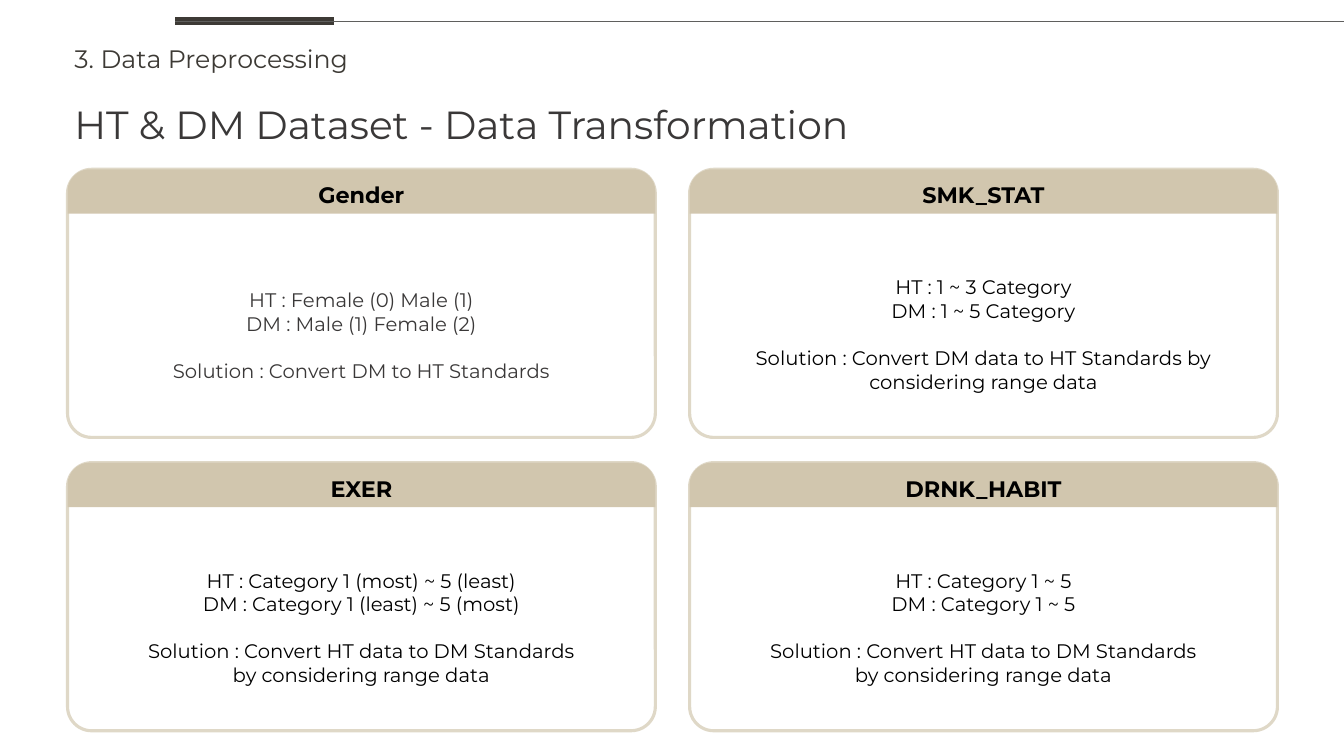
from pptx import Presentation
from pptx import util as u
from pptx.dml.color import RGBColor
from pptx.enum import shapes, text
from pptx.oxml.ns import qn
from lxml import etree

Inches, Pt = u.Inches, u.Pt
COLORS = {
    "section": "3D3A35", "title": "3A3838", "rule": "5F5F5D",
    "card": "FFFFFF", "border": "DFD8C7", "header": "D1C6AE", "black": "000000",
}

deck = Presentation()
deck.slide_width, deck.slide_height = Inches(13.33), Inches(7.5)
slide = deck.slides.add_slide(deck.slide_layouts[6])


def color(name):
    return RGBColor.from_string(COLORS[name])


def write(paragraph, words, size, ink, bold=False):
    paragraph.text = words
    paragraph.font.name = "Montserrat"
    paragraph.font.size = Pt(size)
    paragraph.font.bold = bold
    paragraph.font.color.rgb = color(ink)


for words, top, width, height, size, ink in [
    ("3. Data Preprocessing", 0.38, 3.05, 0.4, 18, "section"),
    ("HT & DM Dataset - Data Transformation", 0.95, 12.46, 0.57, 28, "title"),
]:
    heading = slide.shapes.add_textbox(Inches(0.64), Inches(top), Inches(width), Inches(height))
    heading.text_frame.word_wrap = True
    write(heading.text_frame.paragraphs[0], words, size, ink)

for end, ink, weight in [(3.31, "section", 6), (13.33, "rule", 0.75)]:
    rule = slide.shapes.add_connector(
        shapes.MSO_CONNECTOR.STRAIGHT, Inches(1.74), Inches(0.21), Inches(end), Inches(0.21))
    rule.line.color.rgb = color(ink)
    rule.line.width = Pt(weight)
    etree.SubElement(rule.line._get_or_add_ln().getparent(), qn("a:effectLst"))

range_solution = ["Solution : Convert HT data to DM Standards", "by considering range data"]
variables = [
    ("Gender", "title", 1.11,
     ["HT : Female (0) Male (1)", "DM : Male (1) Female (2)",
      "Solution : Convert DM to HT Standards"]),
    ("SMK_STAT", "black", 0.98,
     ["HT : 1 ~ 3 Category", "DM : 1 ~ 5 Category",
      "Solution : Convert DM data to HT Standards by considering range data"]),
    ("EXER", "black", 0.98,
     ["HT : Category 1 (most) ~ 5 (least)", "DM : Category 1 (least) ~ 5 (most)"] + range_solution),
    ("DRNK_HABIT", "black", 0.98,
     ["HT : Category 1 ~ 5", "DM : Category 1 ~ 5"] + range_solution),
]

for index, (variable, ink, text_top, lines) in enumerate(variables):
    row, column = divmod(index, 2)
    left, top = Inches(0.67 + 6.17 * column), Inches(1.68 + 2.91 * row)

    card = slide.shapes.add_shape(
        shapes.MSO_SHAPE.ROUNDED_RECTANGLE, left, top, Inches(5.83), Inches(2.66))
    card.adjustments[0] = 0.09
    card.fill.solid()
    card.fill.fore_color.rgb = color("card")
    card.line.color.rgb = color("border")
    card.line.width = Pt(2.25)

    header = slide.shapes.add_shape(
        shapes.MSO_SHAPE.ROUND_2_SAME_RECTANGLE, left, top, Inches(5.83), Inches(0.44))
    header.adjustments[0] = 0.5
    header.fill.solid()
    header.fill.fore_color.rgb = color("header")
    header.line.fill.background()

    for part, inset, anchor in [
        (card, text_top, text.MSO_ANCHOR.TOP),
        (header, 0.1, text.MSO_ANCHOR.MIDDLE),
    ]:
        part.shadow.inherit = False
        frame = part.text_frame
        frame.word_wrap = True
        frame.vertical_anchor = anchor
        frame.margin_left = frame.margin_right = frame.margin_bottom = Inches(0.1)
        frame.margin_top = Inches(inset)

    title = header.text_frame.paragraphs[0]
    title.alignment = text.PP_ALIGN.CENTER
    write(title, variable, 16, "black", True)

    body = card.text_frame
    for number, line in enumerate(lines):
        paragraph = body.add_paragraph() if number else body.paragraphs[0]
        paragraph.alignment = text.PP_ALIGN.CENTER
        if line.startswith("Solution"):
            paragraph.space_before = Pt(17)
        write(paragraph, line, 14, ink)

deck.save("out.pptx")
